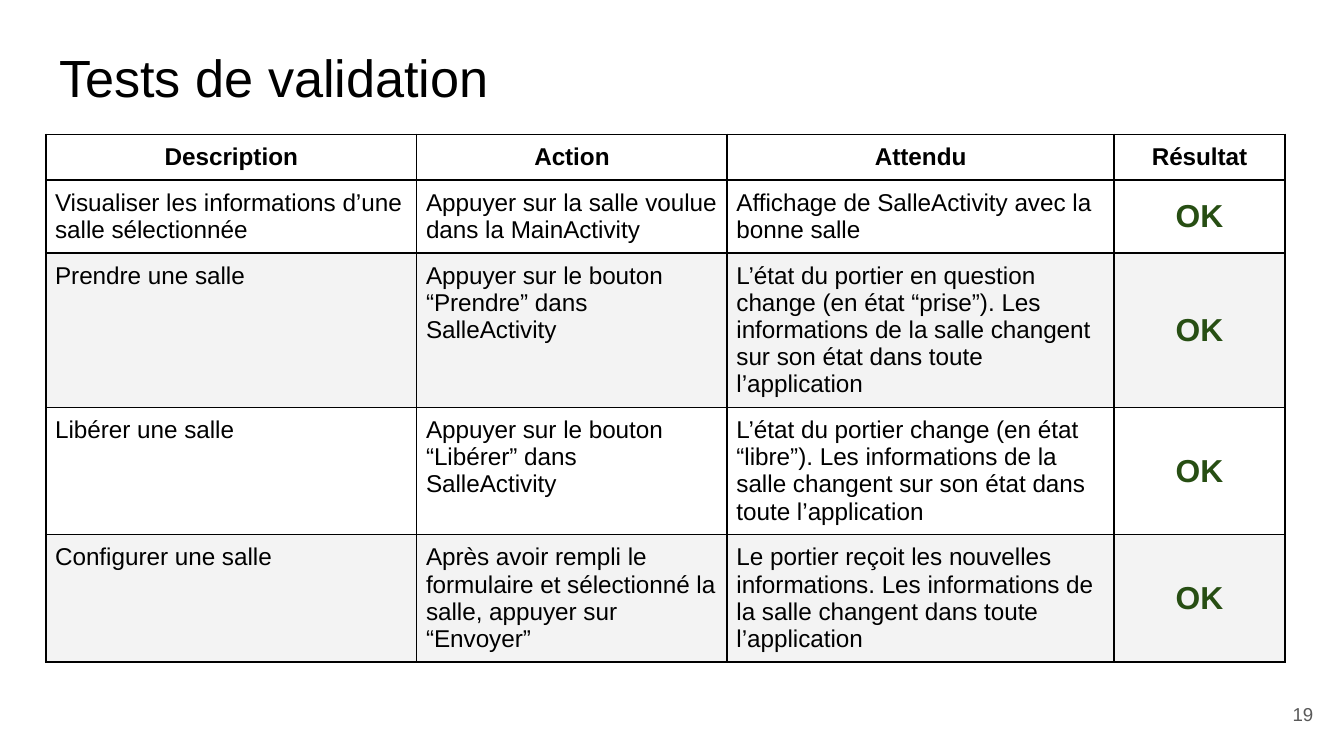
import pptx
import pptx.dml.color
import pptx.enum.text
import pptx.oxml
import pptx.oxml.ns
import pptx.util

Inches = pptx.util.Inches
Pt = pptx.util.Pt
RGBColor = pptx.dml.color.RGBColor
Align = pptx.enum.text.PP_ALIGN
Anchor = pptx.enum.text.MSO_ANCHOR

BLACK = RGBColor(0x00, 0x00, 0x00)
WHITE = RGBColor(0xFF, 0xFF, 0xFF)
BAND_GREY = RGBColor(0xF3, 0xF3, 0xF3)
OK_GREEN = RGBColor(0x27, 0x4E, 0x13)
NUMBER_GREY = RGBColor(0x59, 0x59, 0x59)
FONT = "Arial"

TITLE = "Tests de validation"
PAGE_NUMBER = "19"
HEADERS = ["Description", "Action", "Attendu", "Résultat"]
TESTS = [
    ("Visualiser les informations d’une salle sélectionnée",
     "Appuyer sur la salle voulue dans la MainActivity",
     "Affichage de SalleActivity avec la bonne salle", "OK"),
    ("Prendre une salle",
     "Appuyer sur le bouton “Prendre” dans  SalleActivity",
     "L’état du portier en question change (en état “prise”). Les informations "
     "de la salle changent sur son état dans toute l’application", "OK"),
    ("Libérer une salle",
     "Appuyer sur le bouton “Libérer” dans  SalleActivity",
     "L’état du portier change (en état “libre”). Les informations de la salle "
     "changent sur son état dans toute l’application", "OK"),
    ("Configurer une salle",
     "Après avoir rempli le formulaire et sélectionné la salle, appuyer sur “Envoyer”",
     "Le portier reçoit les nouvelles informations. Les informations de la salle "
     "changent dans toute l’application", "OK"),
]
COLUMN_WIDTHS = [2.76, 2.31, 2.88, 1.27]
LINES_PER_ROW = [1, 2, 5, 4, 4]
LINE_HEIGHT = 0.2
CELL_MARGIN = 0.07


def write(frame, text, size, color, bold=False, align=Align.LEFT):
    frame.text = text
    frame.word_wrap = True
    para = frame.paragraphs[0]
    para.alignment = align
    font = para.runs[0].font
    font.name = FONT
    font.size = Pt(size)
    font.bold = bold
    font.color.rgb = color


def set_margins(target, inches):
    target.margin_left = target.margin_right = Inches(inches)
    target.margin_top = target.margin_bottom = Inches(inches)


def add_borders(cell):
    properties = cell._tc.get_or_add_tcPr()
    for index, side in enumerate(["lnL", "lnR", "lnT", "lnB"]):
        properties.insert(index, pptx.oxml.parse_xml(
            f'<a:{side} {pptx.oxml.ns.nsdecls("a")} w="{Pt(1)}"><a:solidFill>'
            f'<a:srgbClr val="{BLACK}"/></a:solidFill></a:{side}>'))


def add_title(page):
    title = page.shapes.title
    title.left, title.top = Inches(0.34), Inches(0.24)
    title.width, title.height = Inches(9.32), Inches(0.63)
    frame = title.text_frame
    write(frame, TITLE, 28, BLACK)
    set_margins(frame, 0.1)
    frame.vertical_anchor = Anchor.TOP
    frame.auto_size = pptx.enum.text.MSO_AUTO_SIZE.NONE


def add_tests_table(page):
    rows = [HEADERS] + TESTS
    heights = [lines * LINE_HEIGHT + 2 * CELL_MARGIN for lines in LINES_PER_ROW]
    table = page.shapes.add_table(
        len(rows), len(HEADERS), Inches(0.34), Inches(1),
        Inches(sum(COLUMN_WIDTHS)), Inches(sum(heights))).table
    for column, width in zip(table.columns, COLUMN_WIDTHS):
        column.width = Inches(width)
    for row_index, texts in enumerate(rows):
        table.rows[row_index].height = Inches(heights[row_index])
        banded = row_index > 0 and row_index % 2 == 0
        for column_index, text in enumerate(texts):
            cell = table.cell(row_index, column_index)
            cell.fill.solid()
            cell.fill.fore_color.rgb = BAND_GREY if banded else WHITE
            set_margins(cell, CELL_MARGIN)
            if row_index == 0:
                write(cell.text_frame, text, 13, BLACK, True, Align.CENTER)
            elif column_index == len(HEADERS) - 1:
                write(cell.text_frame, text, 17, OK_GREEN, True, Align.CENTER)
                cell.vertical_anchor = Anchor.MIDDLE
            else:
                write(cell.text_frame, text, 13, BLACK)
            add_borders(cell)


def add_page_number(page):
    box = page.shapes.add_textbox(Inches(9.27), Inches(5.1), Inches(0.6), Inches(0.43))
    write(box.text_frame, PAGE_NUMBER, 10, NUMBER_GREY, align=Align.RIGHT)
    set_margins(box.text_frame, 0.1)
    box.text_frame.vertical_anchor = Anchor.MIDDLE


def main():
    deck = pptx.Presentation()
    deck.slide_width = Inches(10)
    deck.slide_height = deck.slide_width * 9 // 16
    page = deck.slides.add_slide(deck.slide_layouts[5])
    add_title(page)
    add_tests_table(page)
    add_page_number(page)
    deck.save("out.pptx")


if __name__ == "__main__":
    main()
